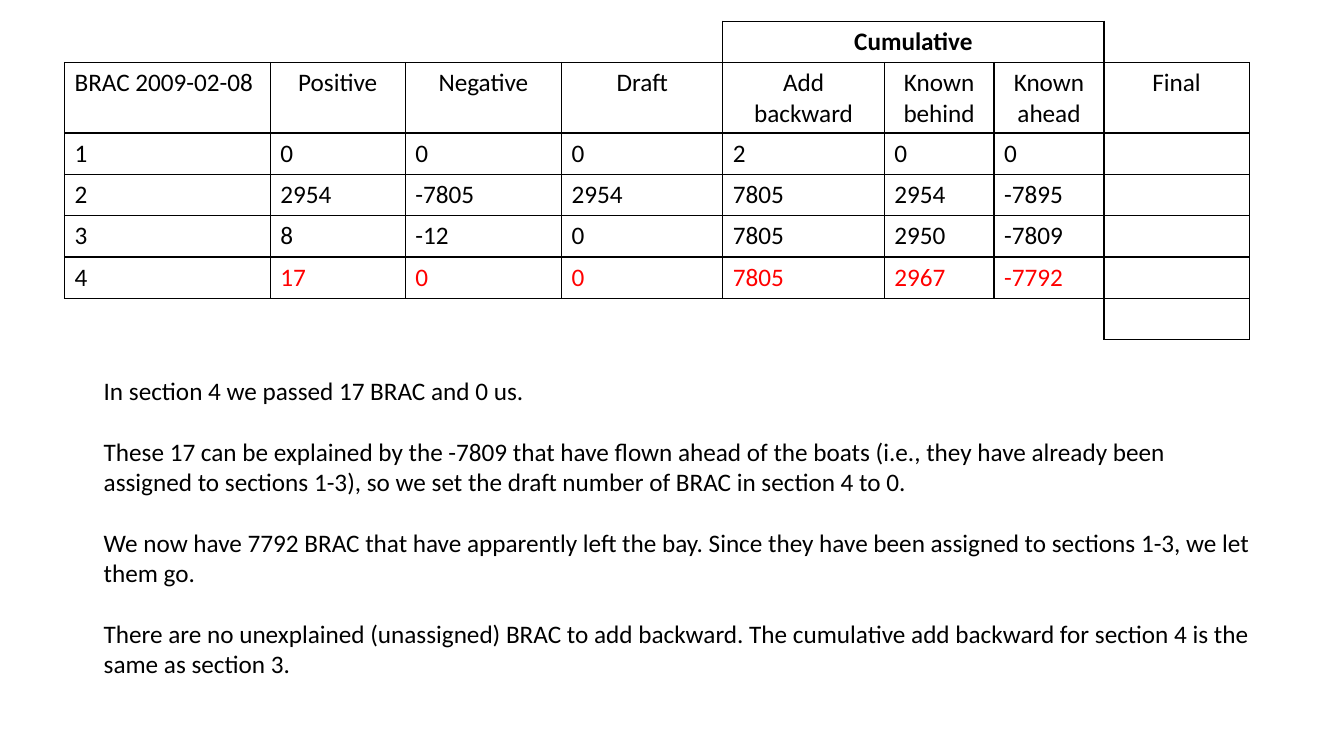
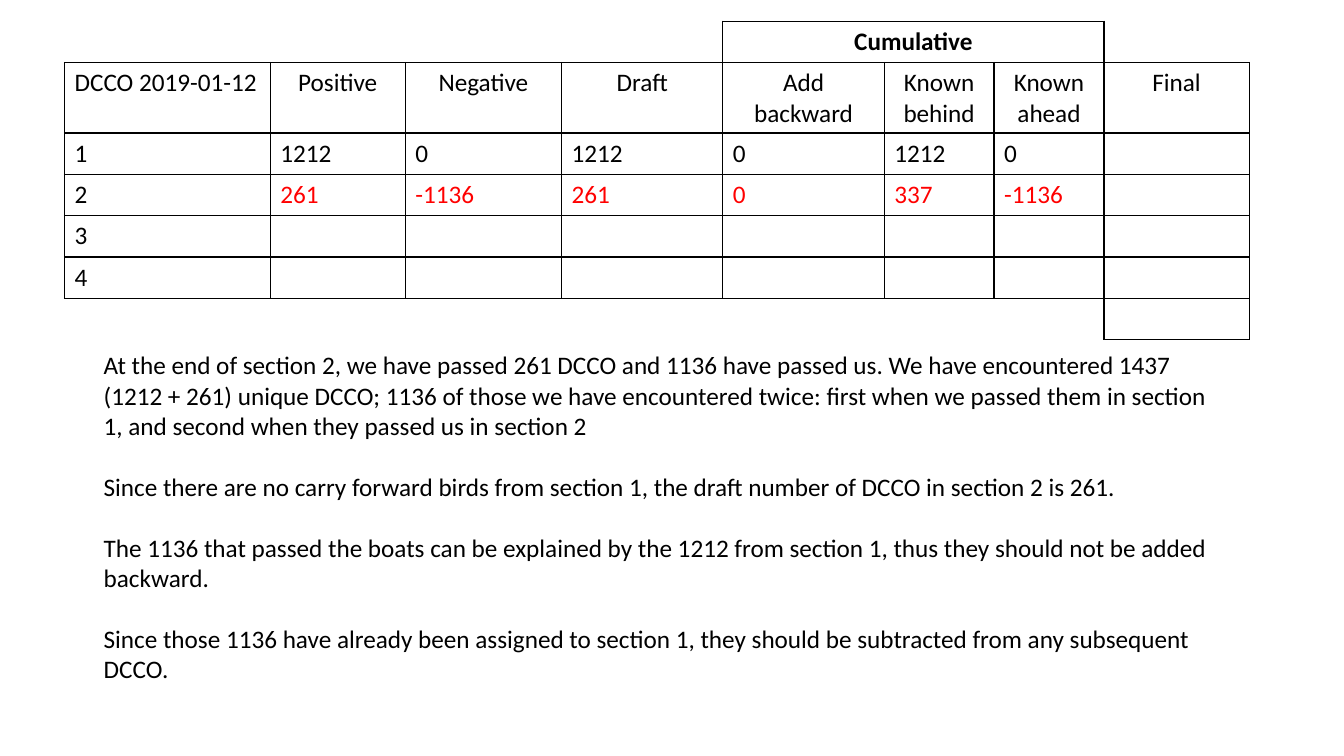
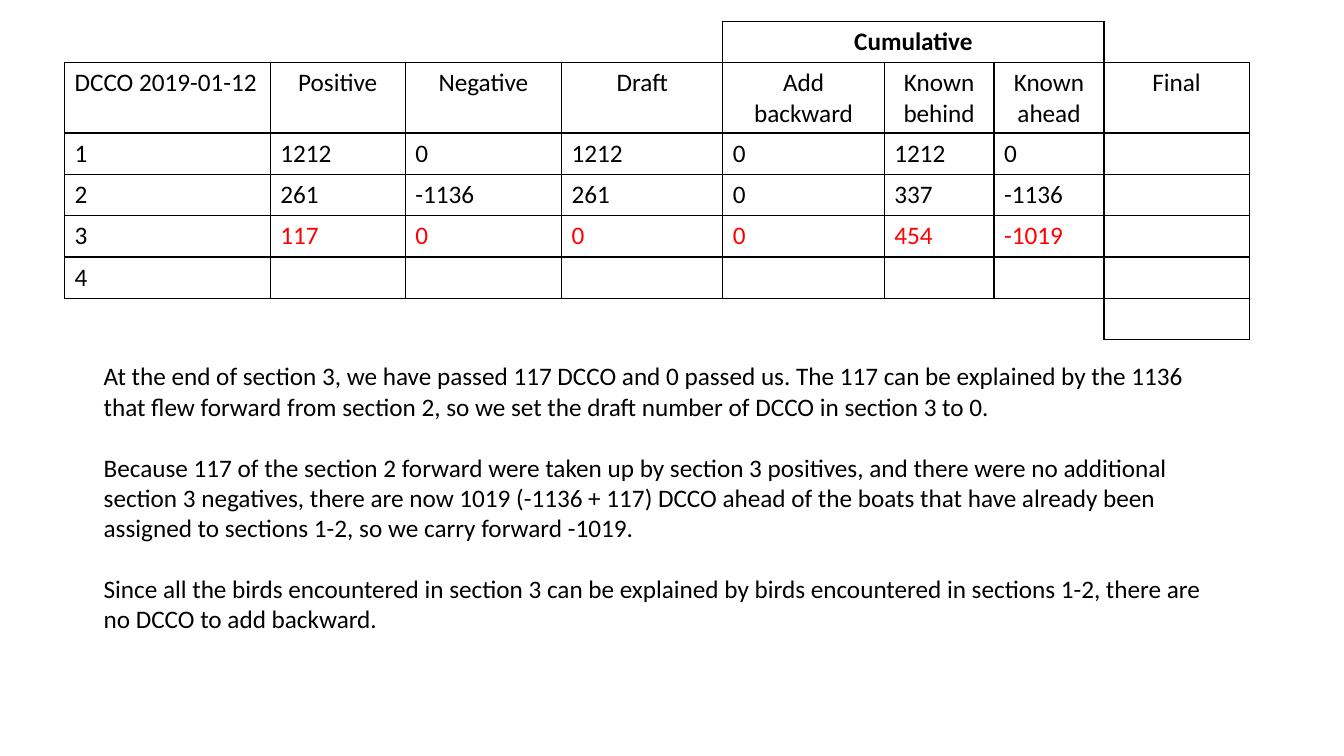
from dataclasses import dataclass

from lxml import etree
from pptx import Presentation
from pptx.dml.color import RGBColor
from pptx.enum.text import MSO_AUTO_SIZE, PP_ALIGN
from pptx.oxml.ns import qn
from pptx.util import Inches, Pt

CENTER, LEFT = PP_ALIGN.CENTER, PP_ALIGN.LEFT
GROW = MSO_AUTO_SIZE.SHAPE_TO_FIT_TEXT


@dataclass(frozen=True)
class Theme:
    """Colours, type and line sizes shared by all slides."""
    font: str = "Calibri"
    size: Pt = Pt(18)
    gap: Pt = Pt(22)
    ink: RGBColor = RGBColor(0, 0, 0)
    accent: RGBColor = RGBColor(255, 0, 0)
    line: Pt = Pt(1)


THEME = Theme()
COLUMN_WIDTHS = [2.04, 1.34, 1.55, 1.6, 1.6, 1.09, 1.09, 1.44]
ROW_HEIGHTS = [0.41, 0.7] + [0.41] * 5
HEADINGS = ["Positive", "Negative", "Draft", "Add backward",
            "Known behind", "Known ahead", "Final"]
HEADING_ROW, SECTION_COUNT = 1, 4
CUMULATIVE_COLUMNS = range(4, 7)
FINAL_COLUMN = 7
EDGES = {"a:lnL": (0, -1), "a:lnR": (0, 1), "a:lnT": (-1, 0), "a:lnB": (1, 0)}

DCCO_ROWS = [
    [1212, 0, 1212, 0, 1212, 0],
    [261, -1136, 261, 0, 337, -1136],
    [117, 0, 0, 0, 454, -1019],
]

# The last row of counts on each slide is the one highlighted.
SLIDES = [
    {
        "survey": "BRAC 2009-02-08",
        "counts": [
            [0, 0, 0, 2, 0, 0],
            [2954, -7805, 2954, 7805, 2954, -7895],
            [8, -12, 0, 7805, 2950, -7809],
            [17, 0, 0, 7805, 2967, -7792],
        ],
        "box": (3.67, 11.59, 3.13),
        "notes": [
            "In section 4 we passed 17 BRAC and 0 us.",
            "These 17 can be explained by the -7809 that have flown ahead of the "
            "boats (i.e., they have already been assigned to sections 1-3), so we "
            "set the draft number of BRAC in section 4 to 0.",
            "We now have 7792 BRAC that have apparently left the bay. Since they "
            "have been assigned to sections 1-3, we let them go.",
            "There are no unexplained (unassigned) BRAC to add backward. The "
            "cumulative add backward for section 4 is the same as section 3.",
        ],
    },
    {
        "survey": "DCCO 2019-01-12",
        "counts": DCCO_ROWS[:2],
        "box": (3.42, 11.24, 3.43),
        "notes": [
            "At the end of section 2, we have passed 261 DCCO and 1136 have passed "
            "us. We have encountered 1437 (1212 + 261) unique DCCO; 1136 of those "
            "we have encountered twice: first when we passed them in section 1, "
            "and second when they passed us in section 2",
            "Since there are no carry forward birds from section 1, the draft "
            "number of DCCO in section 2 is 261.",
            "The 1136 that passed the boats can be explained by the 1212 from "
            "section 1, thus they should not be added backward.",
            "Since those 1136 have already been assigned to section 1, they should "
            "be subtracted from any subsequent DCCO.",
        ],
    },
    {
        "survey": "DCCO 2019-01-12",
        "counts": DCCO_ROWS,
        "box": (3.53, 11.24, 2.83),
        "notes": [
            "At the end of section 3, we have passed 117 DCCO and 0 passed us. The "
            "117 can be explained by the 1136 that flew forward from section 2, so "
            "we set the draft number of DCCO in section 3 to 0.",
            "Because 117 of the section 2 forward were taken up by section 3 "
            "positives, and there were no additional section 3 negatives, there "
            "are now 1019 (-1136 + 117) DCCO ahead of the boats that have already "
            "been assigned to sections 1-2, so we carry forward -1019.",
            "Since all the birds encountered in section 3 can be explained by "
            "birds encountered in sections 1-2, there are no DCCO to add backward.",
        ],
    },
]


def write(paragraph, text, color=THEME.ink, bold=False, align=LEFT):
    """Fill one paragraph in the shared type style."""
    paragraph.text = text
    paragraph.alignment = align
    font = paragraph.font
    font.name, font.size, font.bold = THEME.font, THEME.size, bold
    font.color.rgb = color


def is_boxed(row, column):
    """Tell whether the cell at this place has a ruled frame."""
    if row == 0:
        return column in CUMULATIVE_COLUMNS
    if row > HEADING_ROW + SECTION_COUNT:
        return row < len(ROW_HEIGHTS) and column == FINAL_COLUMN
    return 0 <= row and 0 <= column <= FINAL_COLUMN


deck = Presentation()
deck.slide_width, deck.slide_height = Inches(13.33), Inches(7.5)
blank = deck.slide_layouts[6]

for content in SLIDES:
    page = deck.slides.add_slide(blank)

    top, width, height = content["box"]
    box = page.shapes.add_textbox(Inches(0.93), Inches(top), Inches(width), Inches(height))
    frame = box.text_frame
    frame.word_wrap = True
    frame.auto_size = GROW
    for index, note in enumerate(content["notes"]):
        paragraph = frame.add_paragraph() if index else frame.paragraphs[0]
        write(paragraph, note)
        if index:
            paragraph.space_before = THEME.gap

    table = page.shapes.add_table(
        len(ROW_HEIGHTS), len(COLUMN_WIDTHS), Inches(0.64), Inches(0.21),
        Inches(sum(COLUMN_WIDTHS)), Inches(sum(ROW_HEIGHTS))).table
    table.first_row = table.horz_banding = False
    for column, width in zip(table.columns, COLUMN_WIDTHS):
        column.width = Inches(width)
    for row, height in zip(table.rows, ROW_HEIGHTS):
        row.height = Inches(height)
    table.cell(0, CUMULATIVE_COLUMNS[0]).merge(table.cell(0, CUMULATIVE_COLUMNS[-1]))

    sections = [[number] for number in range(1, SECTION_COUNT + 1)]
    for section, counts in zip(sections, content["counts"]):
        section.extend(counts)
    grid = [[""] * 4 + ["Cumulative"], [content["survey"]] + HEADINGS] + sections + [[]]
    highlighted_row = HEADING_ROW + len(content["counts"])

    for row, values in enumerate(grid):
        for column in range(len(COLUMN_WIDTHS)):
            cell = table.cell(row, column)
            text = str(values[column]) if column < len(values) else ""
            heading = row == 0 or (row == HEADING_ROW and column > 0)
            write(cell.text_frame.paragraphs[0], text,
                  color=THEME.accent if row == highlighted_row and column else THEME.ink,
                  bold=row == 0, align=CENTER if heading else LEFT)

            properties = cell._tc.get_or_add_tcPr()
            for tag, (down, across) in EDGES.items():
                edge = etree.SubElement(properties, qn(tag), w=str(THEME.line))
                if is_boxed(row, column) or is_boxed(row + down, column + across):
                    fill = etree.SubElement(edge, qn("a:solidFill"))
                    etree.SubElement(fill, qn("a:srgbClr"), val=str(THEME.ink))
                else:
                    etree.SubElement(edge, qn("a:noFill"))
            cell.fill.background()

deck.save("out.pptx")
